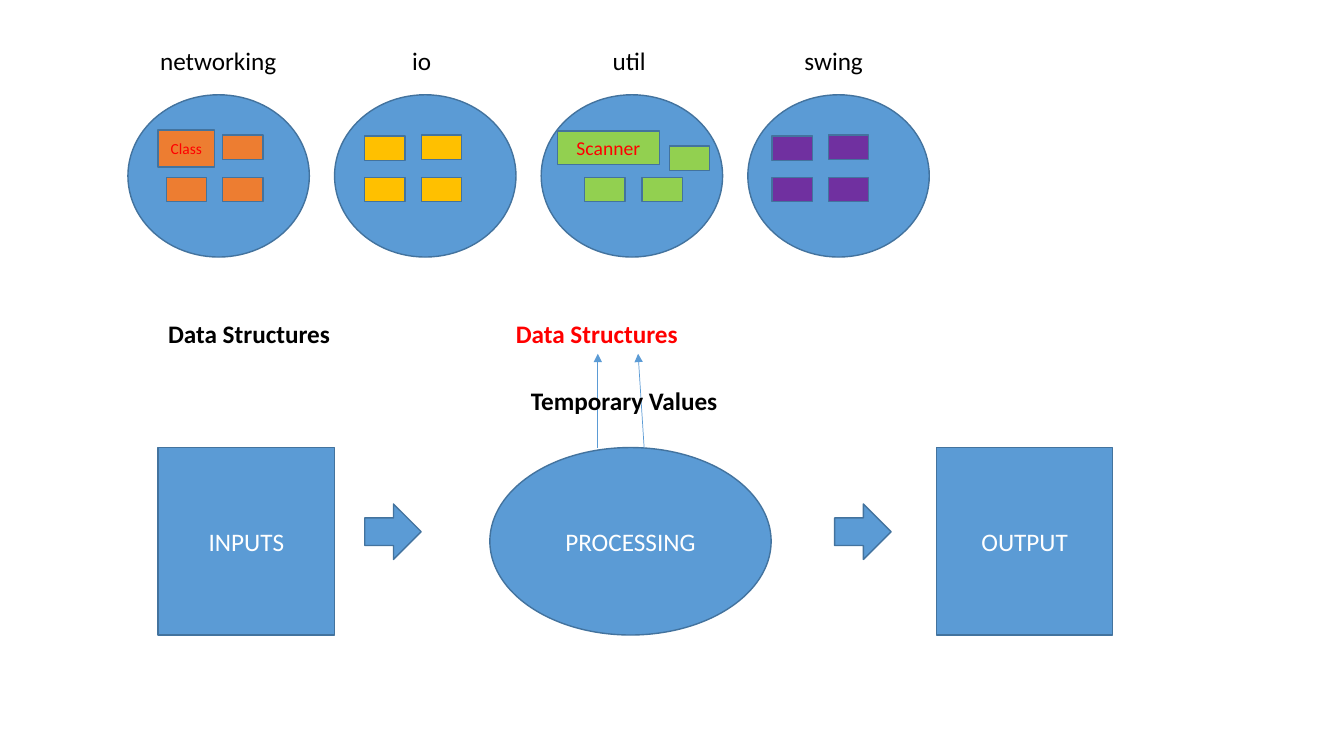
"""Builds a slide of library packages above an input, processing and output flow."""
from lxml import etree
from pptx import Presentation
from pptx.dml.color import RGBColor
from pptx.enum.shapes import MSO_CONNECTOR, MSO_SHAPE
from pptx.enum.text import MSO_ANCHOR, MSO_AUTO_SIZE, PP_ALIGN
from pptx.oxml.ns import qn
from pptx.util import Pt

OVAL, RECT, ARROW = MSO_SHAPE.OVAL, MSO_SHAPE.RECTANGLE, MSO_SHAPE.RIGHT_ARROW
LINE = MSO_CONNECTOR.STRAIGHT
LEFT, CENTER = PP_ALIGN.LEFT, PP_ALIGN.CENTER
MIDDLE, FIT = MSO_ANCHOR.MIDDLE, MSO_AUTO_SIZE.SHAPE_TO_FIT_TEXT

THEME = {
    "font": "Calibri", "body": 18, "scanner": 14, "class": 11,
    "blue": "5B9BD5", "edge": "43739E", "orange": "ED7D31", "gold": "FFC000",
    "green": "92D050", "purple": "7030A0",
    "red": "FF0000", "black": "000000", "white": "FFFFFF",
}

deck = Presentation()
deck.slide_width, deck.slide_height = Pt(960), Pt(540)
slide = deck.slides.add_slide(deck.slide_layouts[6])
shapes = slide.shapes


def write(text, box=None, host=None, size="body", color="black", bold=False):
    """Put text in a host shape, or in a new unwrapped box."""
    frame = (host or shapes.add_textbox(*map(Pt, box))).text_frame
    frame.word_wrap = host is not None
    if host:
        frame.vertical_anchor = MIDDLE
    else:
        frame.auto_size = FIT
    para = frame.paragraphs[0]
    para.alignment = CENTER if host else LEFT
    run = para.add_run()
    run.text = text
    run.font.name, run.font.size, run.font.bold = THEME["font"], Pt(THEME[size]), bold
    run.font.color.rgb = RGBColor.from_string(THEME[color])


def draw(kind, box, fill="blue"):
    """Add an outlined shape without a shadow."""
    shape = shapes.add_shape(kind, *map(Pt, box))
    shape.shadow.inherit = False
    shape.fill.solid()
    shape.fill.fore_color.rgb = RGBColor.from_string(THEME[fill])
    shape.line.color.rgb = RGBColor.from_string(THEME["edge"])
    shape.line.width = Pt(1)
    return shape


low, high = 126.7, 96.5
packs = [
    ("networking", 107.3, 98.6, "orange", [(118.8, low), (159.1, low), (159.1, high)]),
    ("io", 287.3, 28.1, "gold",
     [(260.6, 97.2), (260.6, low), (301, low), (301, high)]),
    ("util", 430.6, 38.9, "green", [(417.6, low), (458.6, low), (478.1, 104.4)]),
    ("swing", 567.4, 56.9, "purple",
     [(551.5, 97.2), (551.5, low), (591.8, low), (591.8, high)]),
]
for col, (name, left, width, fill, tiles) in enumerate(packs):
    draw(OVAL, (91.4 + 147.6 * col, 67.7, 129.6, 115.9))
    for x, y in tiles:
        draw(RECT, (x, y, 28.8, 17.3), fill)
    write(name, (left, 28.8, width, 28.8))

for name, box, fill, size in [
    ("Class", (113, 92.9, 40.3, 26.6), "orange", "class"),
    ("Scanner", (398.2, 93.6, 72.7, 23.8), "green", "scanner"),
]:
    write(name, host=draw(RECT, box, fill), size=size, color="red")

for name, kind, left, width in [
    ("INPUTS", RECT, 113, 126),
    ("PROCESSING", OVAL, 349.9, 200.9),
    ("OUTPUT", RECT, 668.9, 126),
]:
    write(name, host=draw(kind, (left, 319.7, width, 133.9)), color="white")

for left in (260.6, 596.2):
    draw(ARROW, (left, 360, 40.3, 39.6))

for start, end in [(460.1, 455.8), (427, 427)]:
    link = shapes.add_connector(LINE, Pt(start), Pt(319.7), Pt(end), Pt(252.7))
    link.line.color.rgb = RGBColor.from_string(THEME["blue"])
    link.line.width = Pt(0.5)
    props = link.element.spPr
    etree.SubElement(props.find(qn("a:ln")), qn("a:tailEnd"), type="triangle")
    etree.SubElement(props, qn("a:effectLst"))

for name, left, top, width, color in [
    ("Data Structures", 113, 223.9, 131, "black"),
    ("Data Structures", 361.4, 223.9, 131, "red"),
    ("Temporary Values", 372.2, 271.4, 148.3, "black"),
]:
    write(name, (left, top, width, 28.8), color=color, bold=True)

deck.save("out.pptx")
